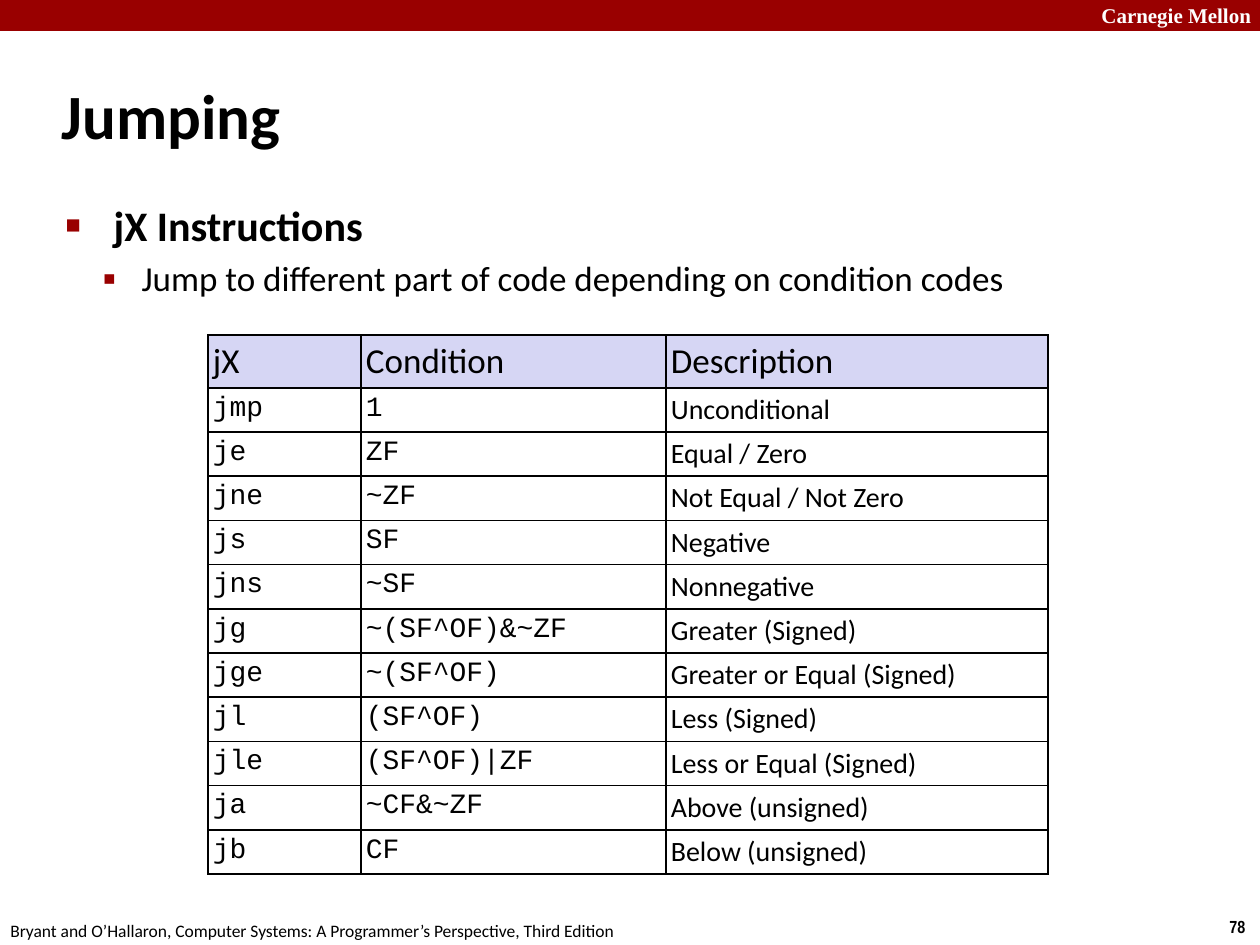
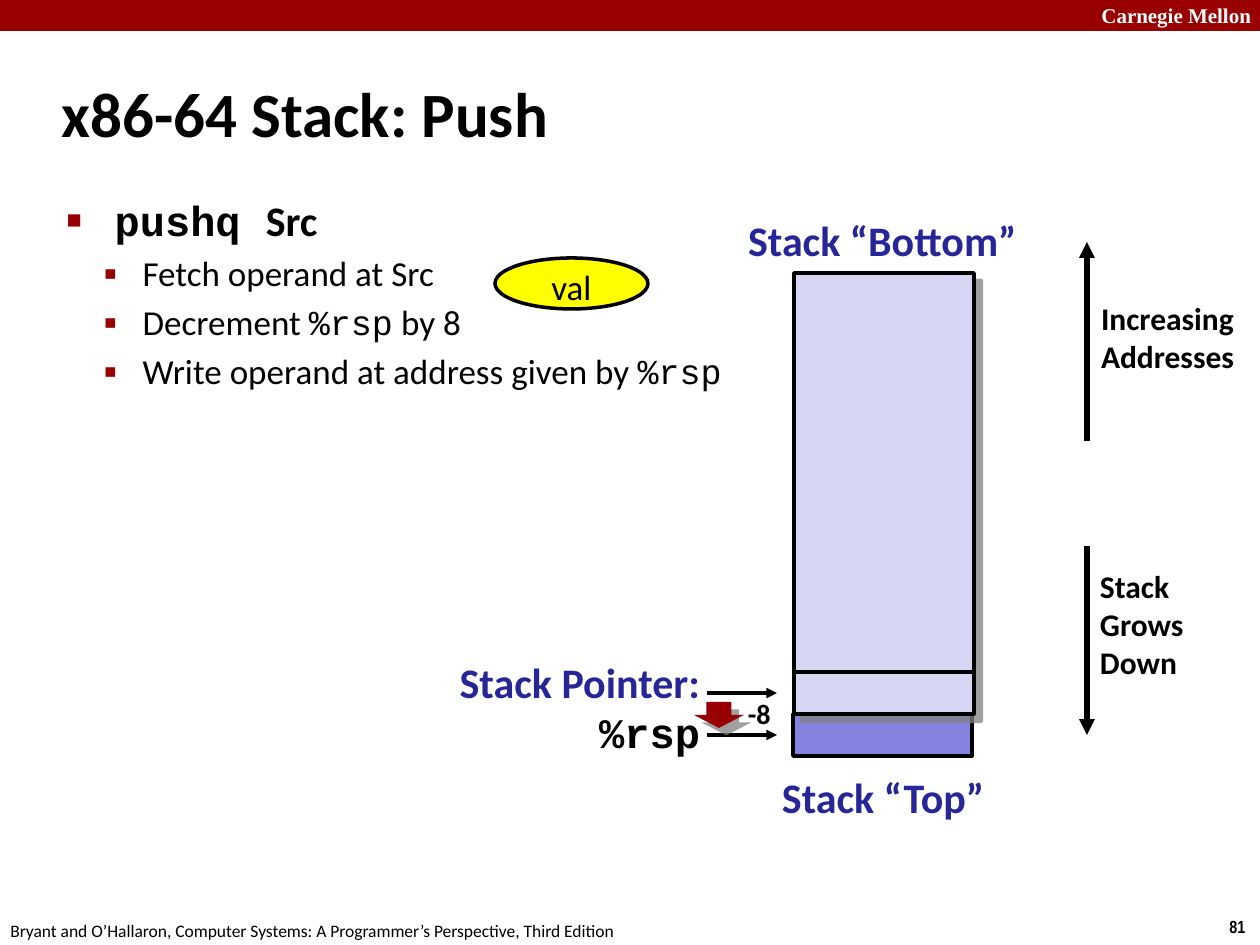
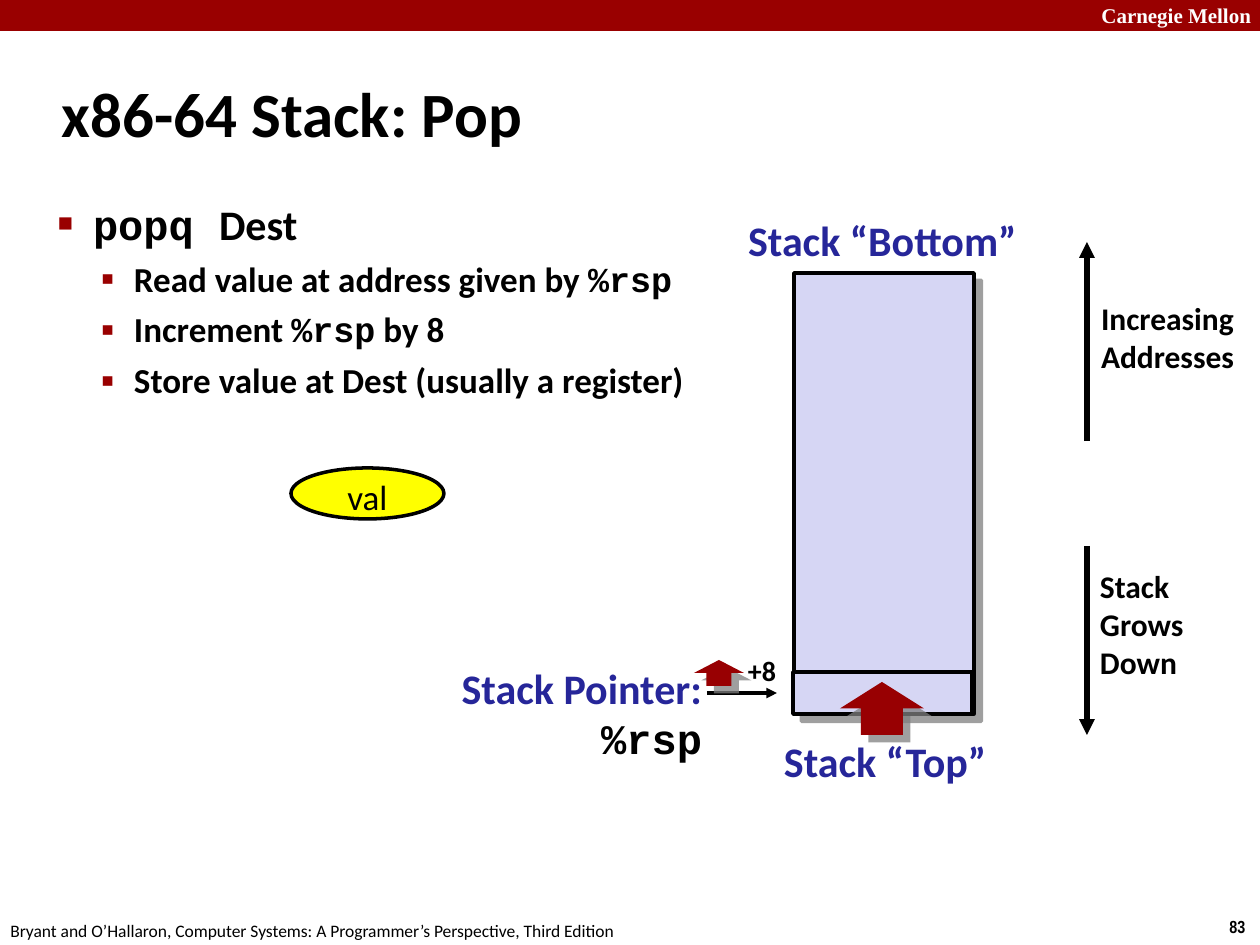
from lxml.etree import SubElement
from pptx import Presentation
from pptx.dml.color import RGBColor
from pptx.enum.shapes import MSO_CONNECTOR, MSO_SHAPE
from pptx.enum.text import MSO_ANCHOR, MSO_AUTO_SIZE, PP_ALIGN
from pptx.oxml.ns import qn
from pptx.util import Emu, Pt

EMU_PER_PX = 914400 / 126
COLORS = {
    "black": "000000", "white": "FFFFFF", "band": "990000", "arrow": "980002",
    "label": "262699", "stack": "D6D6F4", "pushed": "8484E0", "value": "FFFF00",
    "shadow": "808080",
}
BODY, CODE = "Calibri", "Courier New"
FOOTER = ("Bryant and O’Hallaron, Computer Systems: "
          "A Programmer’s Perspective, Third Edition")
JUMPS = [
    ("jX", "Condition", "Description"),
    ("jmp", "1", "Unconditional"),
    ("je", "ZF", "Equal / Zero"),
    ("jne", "~ZF", "Not Equal / Not Zero"),
    ("js", "SF", "Negative"),
    ("jns", "~SF", "Nonnegative"),
    ("jg", "~(SF^OF)&~ZF", "Greater (Signed)"),
    ("jge", "~(SF^OF)", "Greater or Equal (Signed)"),
    ("jl", "(SF^OF)", "Less (Signed)"),
    ("jle", "(SF^OF)|ZF", "Less or Equal (Signed)"),
    ("ja", "~CF&~ZF", "Above (unsigned)"),
    ("jb", "CF", "Below (unsigned)"),
]


def px(n):
    return Emu(round(n * EMU_PER_PX))


def box(*lengths):
    return [px(n) for n in lengths]


def rgb(name):
    return RGBColor.from_string(COLORS[name])


def code(text, **fmt):
    return text, {"font": CODE, **fmt}


# Text
def put_text(tf, paragraphs, size=18, font=BODY, color="black", bold=False,
             align=PP_ALIGN.LEFT, anchor=MSO_ANCHOR.TOP, wrap=True, inset=None):
    """Each paragraph is a string or a list of runs: a string or (string, format)."""
    tf.auto_size = MSO_AUTO_SIZE.NONE
    tf.word_wrap = wrap
    tf.vertical_anchor = anchor
    if inset is not None:
        tf.margin_left = tf.margin_right = px(inset)
        tf.margin_top = tf.margin_bottom = px(inset)
    for i, runs in enumerate(paragraphs):
        p = tf.add_paragraph() if i else tf.paragraphs[0]
        p.alignment = align
        for run in [runs] if isinstance(runs, str) else runs:
            text, own = (run, {}) if isinstance(run, str) else run
            if text == "\n":
                p.add_line_break()
                continue
            r = p.add_run()
            r.text = text
            r.font.size = Pt(size)
            r.font.bold = own.get("bold", bold)
            r.font.name = own.get("font", font)
            r.font.color.rgb = rgb(own.get("color", color))


def add_label(s, at, paragraphs, **fmt):
    tb = s.shapes.add_textbox(*box(*at))
    put_text(tb.text_frame, paragraphs, **{"wrap": False, **fmt})


def add_title(s, at, text):
    title = s.shapes.title
    title.left, title.top, title.width, title.height = box(*at)
    put_text(title.text_frame, [text], size=36, bold=True, anchor=MSO_ANCHOR.MIDDLE)


def add_bullets(s, at, head, items, bold=False, hang=(48, 39), gap=4, inset=None):
    """One bold heading with second-level items below it."""
    body = s.placeholders[1]
    body.left, body.top, body.width, body.height = box(*at)
    tf = body.text_frame
    put_text(tf, [head], size=24, bold=True, inset=inset)
    for item in items:
        p = tf.add_paragraph()
        p.level = 1
        for run in item:
            text, own = (run, {}) if isinstance(run, str) else run
            r = p.add_run()
            r.text = text
            r.font.size, r.font.bold = Pt(20), bold
            r.font.name = own.get("font", BODY)
            r.font.color.rgb = rgb("black")
    for i, p in enumerate(tf.paragraphs):
        margin, indent, char, percent = (
            (76, hang[1], "▪", 110) if i else (hang[0], hang[0], "■", 60))
        pPr = p._p.get_or_add_pPr()
        pPr.set("marL", str(px(margin)))
        pPr.set("indent", str(-px(indent)))
        clr = SubElement(pPr, qn("a:buClr"))
        SubElement(clr, qn("a:srgbClr"), val=COLORS["band"])
        SubElement(pPr, qn("a:buSzPct"), val=str(percent * 1000))
        SubElement(pPr, qn("a:buChar"), char=char)
        p.space_before = Pt(gap if i else 0)


# Shapes and lines
def add_block(s, kind, at, fill, line=True, shadow=False):
    sp = s.shapes.add_shape(kind, *box(*at))
    sp.fill.solid()
    sp.fill.fore_color.rgb = rgb(fill)
    if line:
        sp.line.color.rgb = rgb("black")
        sp.line.width = Pt(2)
    else:
        sp.line.fill.background()
    sp.shadow.inherit = False
    if shadow:
        effects = sp._element.spPr.find(qn("a:effectLst"))
        outer = SubElement(effects, qn("a:outerShdw"), dist=str(Pt(6)),
                           dir="2700000", algn="ctr", rotWithShape="0")
        clr = SubElement(outer, qn("a:srgbClr"), val=COLORS["shadow"])
        SubElement(clr, qn("a:alpha"), val="75000")
    return sp


def add_line(s, x1, y1, x2, y2, width=2, arrow=True):
    c = s.shapes.add_connector(MSO_CONNECTOR.STRAIGHT, *box(x1, y1, x2, y2))
    c.line.color.rgb = rgb("black")
    c.line.width = Pt(width)
    spPr = c._element.spPr
    if arrow:
        SubElement(spPr.find(qn("a:ln")), qn("a:tailEnd"), type="triangle")
    SubElement(spPr, qn("a:effectLst"))


def add_value(s, x, y):
    sp = add_block(s, MSO_SHAPE.OVAL, (x, y, 153, 51), "value")
    put_text(sp.text_frame, ["val"], size=20, align=PP_ALIGN.CENTER, inset=0)


def add_move(s, kind, at):
    add_block(s, kind, at, "arrow", line=False, shadow=True)


# Table
def add_jump_table(s, x, y, widths, head_height, row_height):
    height = head_height + row_height * (len(JUMPS) - 1)
    shape = s.shapes.add_table(len(JUMPS), len(widths),
                               *box(x, y, sum(widths), height))
    table = shape.table
    table.first_row = table.horz_banding = False
    for col, width in zip(table.columns, widths):
        col.width = px(width)
    for i, values in enumerate(JUMPS):
        table.rows[i].height = px(row_height if i else head_height)
        for j, value in enumerate(values):
            cell = table.cell(i, j)
            put_text(cell.text_frame, [value], size=16 if i else 20,
                     font=CODE if i and j < 2 else BODY)
            cell.margin_left = cell.margin_right = px(5)
            cell.margin_top = cell.margin_bottom = px(5)
            add_borders(cell)
            if i:
                cell.fill.background()
            else:
                cell.fill.solid()
                cell.fill.fore_color.rgb = rgb("stack")


def add_borders(cell):
    tcPr = cell._tc.get_or_add_tcPr()
    for side in ("lnL", "lnR", "lnT", "lnB"):
        ln = SubElement(tcPr, qn("a:" + side), w=str(Pt(1)))
        fill = SubElement(ln, qn("a:solidFill"))
        SubElement(fill, qn("a:srgbClr"), val=COLORS["black"])


# Shared slide parts
def new_slide(prs, number):
    s = prs.slides.add_slide(prs.slide_layouts[1])
    add_block(s, MSO_SHAPE.RECTANGLE, (0, 0, 1260, 31), "band", line=False)
    add_label(s, (1089, -4, 180, 38), ["Carnegie Mellon"], size=12,
              font="Times New Roman", color="white", bold=True)
    add_label(s, (1217, 910, 43, 34), [str(number)], size=10,
              font="Arial Narrow", bold=True)
    add_label(s, (-2, 914, 640, 34), [FOOTER], size=10)
    return s


def add_stack(s, top_label_at, pointer_at):
    """Stack block, its labels and the two direction arrows."""
    add_block(s, MSO_SHAPE.RECTANGLE, (794, 273, 180, 441), "stack", shadow=True)
    add_line(s, 1087, 546, 1087, 735, width=3)
    add_line(s, 1087, 441, 1087, 242, width=3)
    notes = [((1100, 567, 112, 126), ["Stack Grows", "Down"], True),
             ((1101, 299, 142, 87), ["Increasing", "Addresses"], False)]
    for at, lines, wrap in notes:
        add_label(s, at, lines, bold=True, wrap=wrap, inset=0)
    heading = {"size": 24, "color": "label", "bold": True, "inset": 0}
    add_label(s, (748, 215, 281, 62), ["Stack “Bottom”"], **heading)
    add_label(s, (*top_label_at, 214, 62), ["Stack “Top”"], **heading)
    add_label(s, (*pointer_at, 350, 105),
              [["Stack Pointer:", "\n", code("%rsp", color="black")]],
              align=PP_ALIGN.RIGHT, **{**heading, "wrap": True})
    add_line(s, 707, 693, 777, 693)


def add_step(s, y, text):
    add_label(s, (743, y, 39, 44), [text], size=16, bold=True, inset=5)


# Slides
def jumping_slide(prs):
    s = new_slide(prs, 78)
    add_title(s, (49, 35, 1155, 158), "Jumping")
    add_bullets(s, (53, 193, 1155, 118), "jX Instructions",
                [["Jump to different part of code depending on condition codes"]])
    add_jump_table(s, 208, 335, (153, 305, 382), 52, 44)


def push_slide(prs):
    s = new_slide(prs, 81)
    add_title(s, (49, 60, 1046, 105), "x86-64 Stack: Push")
    add_bullets(s, (54, 188, 1089, 685), [code("pushq "), "Src"], [
        ["Fetch operand at Src"],
        ["Decrement ", code("%rsp"), " by 8"],
        ["Write operand at address given by ", code("%rsp")],
    ])
    add_block(s, MSO_SHAPE.RECTANGLE, (793, 714, 179, 42), "pushed")
    add_line(s, 707, 735, 777, 735)
    add_step(s, 691, "-8")
    add_move(s, MSO_SHAPE.DOWN_ARROW, (694, 702, 50, 26))
    add_stack(s, (782, 772), (350, 656))
    add_line(s, 793, 672, 972, 672, arrow=False)
    add_value(s, 495, 258)


def pop_slide(prs):
    s = new_slide(prs, 83)
    add_title(s, (49, 60, 1046, 105), "x86-64 Stack: Pop")
    add_bullets(s, (53, 193, 1155, 748), [code("popq "), "Dest"], [
        ["Read value at address given by ", code("%rsp")],
        ["Increment ", code("%rsp"), " by 8"],
        ["Store value at Dest (usually a register)"],
    ], bold=True, hang=(35, 33), gap=5, inset=5)
    add_stack(s, (784, 736), (352, 662))
    add_step(s, 649, "+8")
    add_move(s, MSO_SHAPE.UP_ARROW, (694, 660, 50, 26))
    add_block(s, MSO_SHAPE.RECTANGLE, (793, 672, 179, 42), "stack")
    add_value(s, 291, 468)
    add_move(s, MSO_SHAPE.UP_ARROW, (840, 682, 84, 53))


def main():
    prs = Presentation()
    prs.slide_width, prs.slide_height = px(1260), px(945)
    jumping_slide(prs)
    push_slide(prs)
    pop_slide(prs)
    prs.save("out.pptx")


if __name__ == "__main__":
    main()
